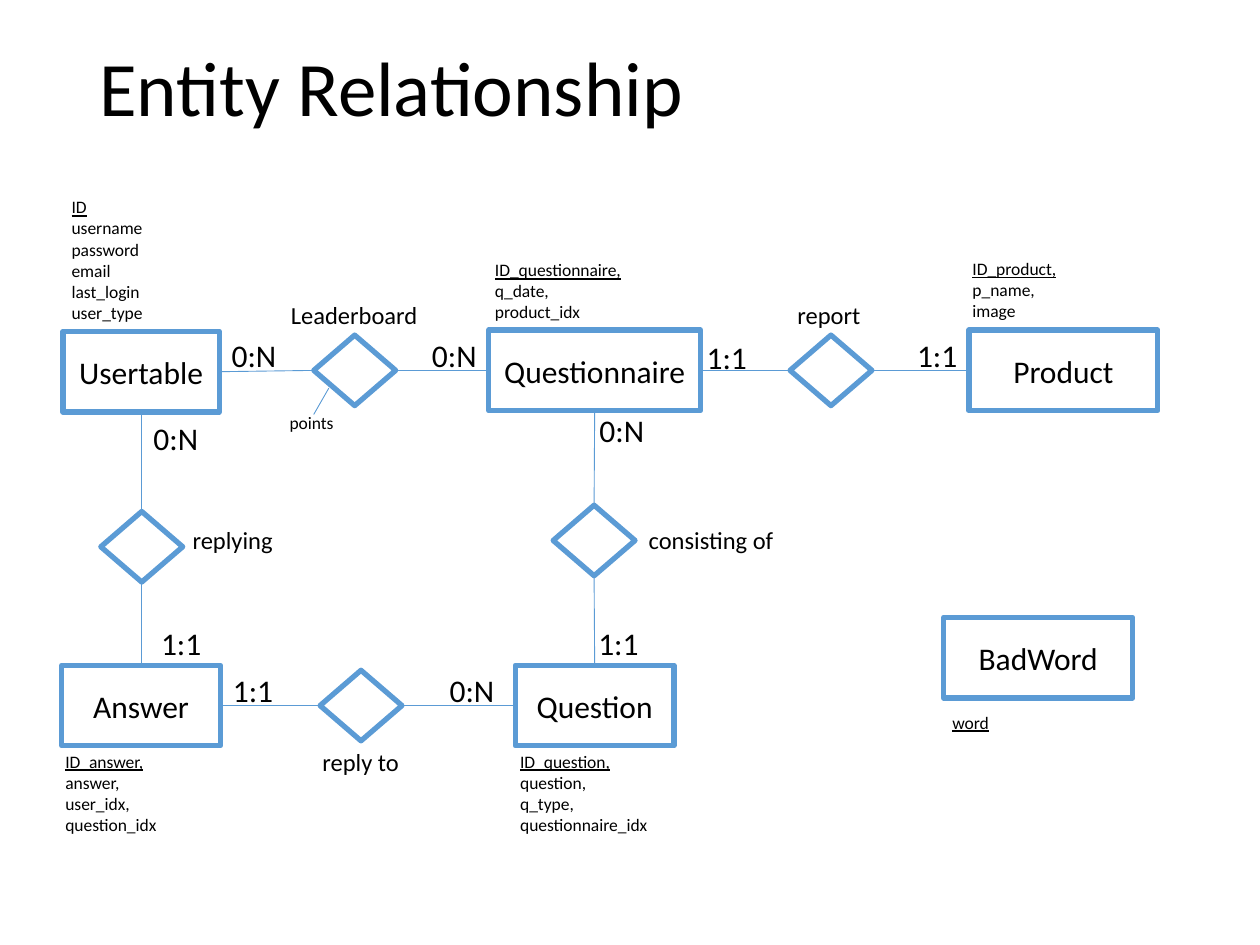
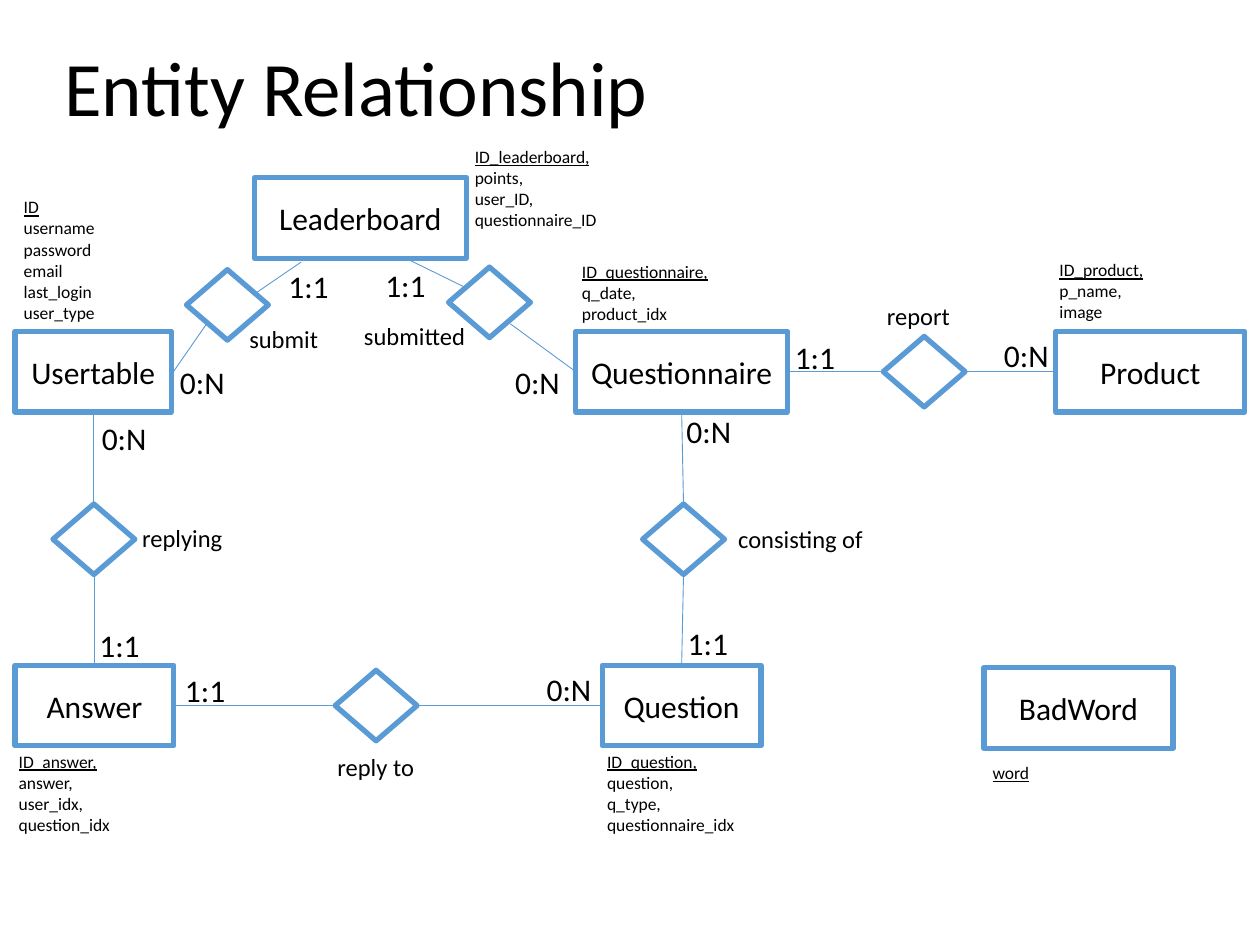
"""Draw two entity relationship diagrams on a grid of 100 columns by 75 rows."""
from lxml.etree import SubElement
from pptx import Presentation
from pptx.dml.color import RGBColor
from pptx.enum.shapes import MSO_CONNECTOR, MSO_SHAPE
from pptx.enum.text import MSO_ANCHOR, PP_ALIGN
from pptx.oxml.ns import qn
from pptx.util import Inches, Pt

COLORS = {"ink": "000000", "edge": "5B9BD5", "paper": "FFFFFF"}
COLS, ROWS = 100, 75
BOX_ROWS = 6.4
TIE_SIZE = 6.5, 5.6
SIDES = {"right": (3, 1), "down": (2, 0)}

# Entity: box width; offset, width and rows of its fields; the fields ("/" parts paragraphs)
ENTITIES = {
    "Usertable": (12.4, -0.3, -11.2, 9.7, 11.1,
                  "ID/username/password/email\nlast_login\nuser_type"),
    "Questionnaire": (16.8, -0.5, -6.1, 12.1, 7.7, "ID_questionnaire,/q_date,/product_idx"),
    "Product": (15, -0.7, -6.2, 12, 7.7, "ID_product,/p_name,/image"),
    "Answer": (12.6, -0.7, 6.3, 10.4, 7.7, "ID_answer,\nanswer,\nuser_idx,\nquestion_idx"),
    "Question": (12.6, -0.6, 6.3, 12.6, 7.7,
                 "ID_question,\nquestion,\nq_type,\nquestionnaire_idx"),
    "BadWord": (15, -0.3, 7, 6.3, 4.4, "word"),
    "Leaderboard": (16.8, 16.5, -3, 12.1, 9.4,
                    "ID_leaderboard,/points,/user_ID,/questionnaire_ID"),
}

# Relationship: label width, then the two entities it joins, the direction and the line kind
STRAIGHT, ELBOW = MSO_CONNECTOR.STRAIGHT, MSO_CONNECTOR.ELBOW
TIES = {
    "Leaderboard": (12.2, "Usertable", "Questionnaire", "right", STRAIGHT),
    "report": (7.1, "Questionnaire", "Product", "right", STRAIGHT),
    "replying": (8.5, "Usertable", "Answer", "down", ELBOW),
    "reply to": (8.2, "Answer", "Question", "right", ELBOW),
    "consisting of": (12, "Questionnaire", "Question", "down", STRAIGHT),
    "submit": (7.5,),
    "submitted": (11.1,),
}
CARD_COLS = {"0:N": 5.6, "1:1": 5.3}

# Per slide: entity corners, diamond and label corners, cardinalities, loose lines
FIRST = {
    "title": 6.9,
    "boxes": {"Usertable": (5, 26.3), "Questionnaire": (38.8, 26.2), "Product": (76.9, 26.2),
              "Answer": (4.9, 52.8), "Question": (40.9, 52.8), "BadWord": (74.9, 49)},
    "ties": {"Leaderboard": (24.9, 26.6, 22.1, 23.3), "report": (62.7, 26.6, 62.3, 23.3),
             "replying": (8, 40.6, 14.3, 41.2), "reply to": (25.4, 53.2, 24.6, 58.8),
             "consisting of": (43.9, 40.1, 50.5, 41.2)},
    "cards": {"0:N": [(17.4, 26.2), (33.3, 26.2), (11.2, 32.8), (46.6, 32.1), (34.7, 52.8)],
              "1:1": [(55.1, 26.3), (71.8, 26.2), (11.8, 49), (46.5, 49), (17.5, 52.8)]},
    "lines": [(26.1, 30.8, 24.9, 32.9)],
    "points": (22, 32.2),
}
SECOND = {
    "title": 4.1,
    "boxes": {"Usertable": (1.2, 26.3), "Questionnaire": (45.7, 26.3), "Product": (83.8, 26.3),
              "Answer": (1.2, 52.8), "Question": (47.8, 52.8), "BadWord": (78.1, 53),
              "Leaderboard": (20.2, 14.1)},
    "ties": {"report": (70.1, 26.7, 69.4, 23.4), "replying": (4.2, 40, 10.3, 41),
             "reply to": (26.6, 53.2, 25.8, 59.2), "consisting of": (51, 40, 57.6, 41.1),
             "submit": (14.8, 21.4, 18.8, 25.2), "submitted": (35.6, 21.2, 27.9, 25)},
    "cards": {"0:N": [(13.3, 28.3), (39.9, 28.3), (78.7, 26.2), (7.1, 32.8), (53.5, 32.2),
                      (42.4, 52.7)],
              "1:1": [(62.1, 26.3), (29.6, 20.6), (21.9, 20.7), (6.9, 49.2), (53.6, 49),
                      (13.7, 52.8)]},
    "lines": [(13.7, 29.6, 16.4, 25.7), (40.5, 25.7, 45.7, 29.5),
              (20.1, 23.4, 23.9, 20.8), (32, 20.4, 37.1, 22.9)],
}


class Deck:
    """Hold the style and the current slide."""

    def __init__(self):
        self.show = Presentation()
        self.show.slide_width, self.show.slide_height = Inches(10), Inches(7.5)
        self.slide = None

    def grid(self, *spans):
        """Turn alternating columns and rows into lengths."""
        units = self.show.slide_width / COLS, self.show.slide_height / ROWS
        return [round(span * units[i % 2]) for i, span in enumerate(spans)]

    def color(self, name):
        """Look up a colour."""
        return RGBColor.from_string(COLORS[name])

    def page(self):
        """Start a blank slide."""
        self.slide = self.show.slides.add_slide(self.show.slide_layouts[6])

    def run(self, para, text, size, under=None):
        """Add one styled run."""
        run = para.add_run()
        run.text = text
        font = run.font
        font.name, font.size, font.underline = "Calibri", Pt(size), under
        font.color.rgb = self.color("ink")

    def text(self, text, place, size, wrap=False):
        """Add a text box with one run."""
        frame = self.slide.shapes.add_textbox(*self.grid(*place)).text_frame
        frame.word_wrap = wrap
        self.run(frame.paragraphs[0], text, size)
        return frame

    def title(self, text, left):
        """Add the slide title."""
        frame = self.text(text, (left, 0, 86.2, 14.5), 44, True)
        frame.vertical_anchor = MSO_ANCHOR.MIDDLE
        frame.paragraphs[0].line_spacing = 0.9

    def fields(self, text, place):
        """List the fields of an entity, its key underlined."""
        frame = self.slide.shapes.add_textbox(*self.grid(*place)).text_frame
        frame.word_wrap = True
        for i, part in enumerate(text.split("/")):
            para = frame.add_paragraph() if i else frame.paragraphs[0]
            for j, line in enumerate(part.split("\n")):
                if j:
                    para.add_line_break()
                self.run(para, line, 10, i + j == 0)

    def shape(self, kind, place):
        """Add an outlined shape."""
        shape = self.slide.shapes.add_shape(kind, *self.grid(*place))
        shape.shadow.inherit = False
        shape.fill.solid()
        shape.fill.fore_color.rgb = self.color("paper")
        shape.line.color.rgb = self.color("edge")
        shape.line.width = Pt(3)
        return shape

    def entity(self, name, left, top):
        """Add an entity box with its fields."""
        wide, right, down, cols, rows, text = ENTITIES[name]
        box = self.shape(MSO_SHAPE.RECTANGLE, (left, top, wide, BOX_ROWS))
        frame = box.text_frame
        frame.vertical_anchor = MSO_ANCHOR.MIDDLE
        frame.paragraphs[0].alignment = PP_ALIGN.CENTER
        self.run(frame.paragraphs[0], name, 18)
        self.fields(text, (left + right, top + down, cols, rows))
        return box

    def line(self, ends=(0, 0, 0, 0), kind=STRAIGHT):
        """Add a thin line."""
        line = self.slide.shapes.add_connector(kind, *self.grid(*ends))
        line.line.color.rgb = self.color("edge")
        line.line.width = Pt(0.5)
        SubElement(line._element.spPr, qn("a:effectLst"))
        return line

    def link(self, start, end, side, kind):
        """Glue a line to two shapes."""
        line = self.line(kind=kind)
        out, into = SIDES[side]
        line.begin_connect(start, out)
        line.end_connect(end, into)

    def tie(self, name, spot, boxes):
        """Add a labelled diamond and its links."""
        wide, *ends = TIES[name]
        gem = self.shape(MSO_SHAPE.DIAMOND, (*spot[:2], *TIE_SIZE))
        self.text(name, (*spot[2:], wide, 3.4), 14)
        if ends:
            start, end, side, kind = ends
            self.link(boxes[start], gem, side, kind)
            self.link(gem, boxes[end], side, kind)

    def chart(self, plan):
        """Draw one whole diagram."""
        self.page()
        self.title("Entity Relationship", plan["title"])
        boxes = {name: self.entity(name, *spot) for name, spot in plan["boxes"].items()}
        for name, spot in plan["ties"].items():
            self.tie(name, spot, boxes)
        for ends in plan["lines"]:
            self.line(ends)
        for card, spots in plan["cards"].items():
            for spot in spots:
                self.text(card, (*spot, CARD_COLS[card], 4), 18)
        if "points" in plan:
            self.text("points", (*plan["points"], 5.6, 2.7), 10)


deck = Deck()
for plan in (FIRST, SECOND):
    deck.chart(plan)
deck.show.save("out.pptx")
